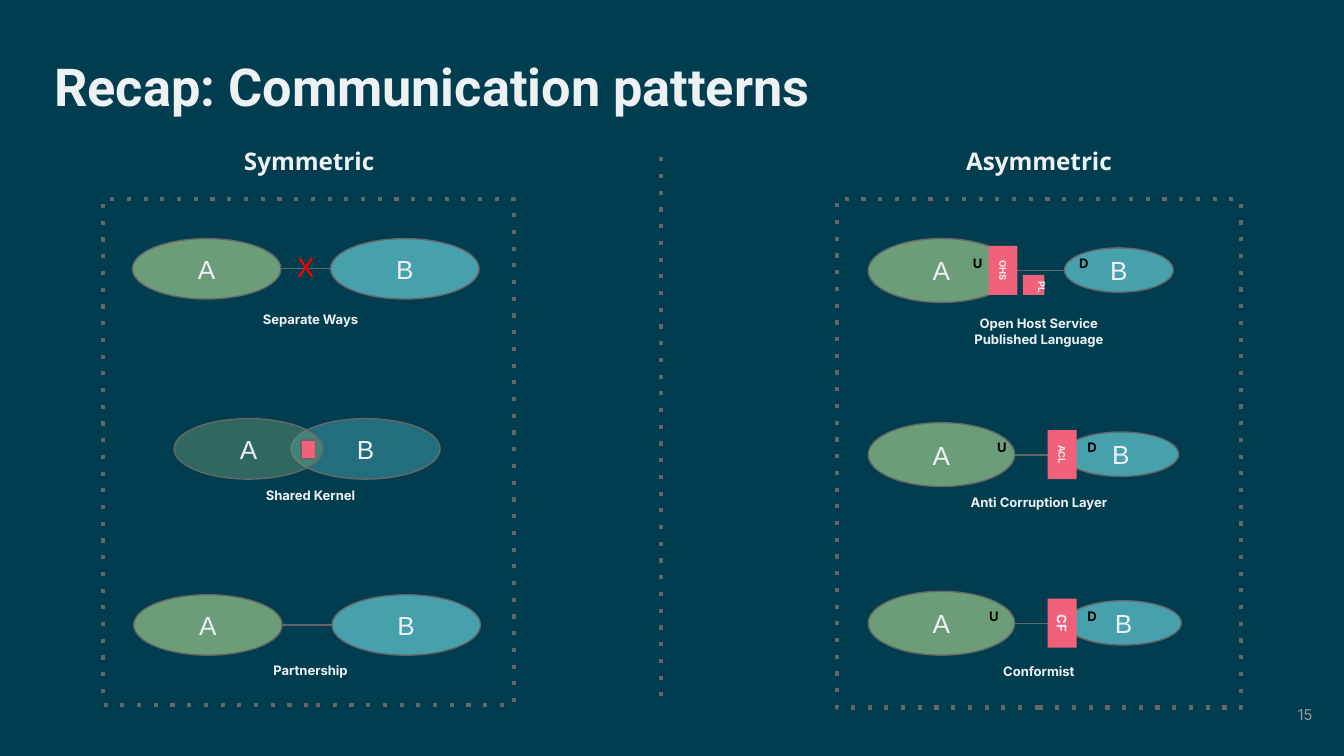
from dataclasses import dataclass

from lxml.etree import SubElement
from pptx import Presentation
from pptx.dml.color import RGBColor
from pptx.enum.dml import MSO_LINE
from pptx.enum.shapes import MSO_CONNECTOR as Connector, MSO_SHAPE as Preset
from pptx.enum.text import MSO_ANCHOR as Anchor, MSO_AUTO_SIZE as AutoSize, PP_ALIGN as Align
from pptx.oxml.ns import qn
from pptx.util import Inches, Pt

COLUMNS, ROWS = 100, 56.25  # grid of square cells
CELL = Inches(0.1)


@dataclass(frozen=True)
class Theme:
    background: str = "003D4F"
    light: str = "EDF1F3"
    dark: str = "000000"
    muted: str = "999999"
    cross: str = "FF0000"
    outline: str = "666666"
    green: str = "6B9E78"
    teal: str = "47A1AD"
    pink: str = "F2617A"
    thin: float = 0.75
    thick: float = 2.25


THEME = Theme()

# Type styles: font format and colour
STYLES = {
    "title": ({"name": "Roboto", "size": Pt(28), "bold": True}, THEME.light),
    "heading": ({"name": "Open Sans", "size": Pt(13), "bold": True}, THEME.light),
    "caption": ({"name": "Inter", "size": Pt(7), "bold": True}, THEME.light),
    "role": ({"name": "Inter", "size": Pt(7), "bold": True}, THEME.dark),
    "tag": ({"name": "Inter", "size": Pt(5), "bold": True}, THEME.light),
    "context": ({"name": "Arial", "size": Pt(14)}, THEME.light),
    "cross": ({"name": "Inter", "size": Pt(14)}, THEME.cross),
    "number": ({"name": "Inter", "size": Pt(8)}, THEME.muted),
}


def cells(*counts):
    return [round(count * CELL) for count in counts]


def rgb(value):
    return RGBColor.from_string(value)


def set_values(target, values):
    for name, value in values.items():
        setattr(target, name, value)


def write(shape, text, style, align=Align.CENTER, anchor=Anchor.MIDDLE,
          inset=1, size=AutoSize.NONE):
    frame = shape.text_frame
    frame.text = text
    margins = {f"margin_{side}": round(inset * CELL) for side in ("left", "top", "right", "bottom")}
    set_values(frame, {"word_wrap": True, "auto_size": size, "vertical_anchor": anchor, **margins})
    values, color = STYLES[style]
    for paragraph in frame.paragraphs:
        paragraph.alignment = align
        for run in paragraph.runs:
            set_values(run.font, values)
            run.font.color.rgb = rgb(color)


def set_line(shape, width=THEME.thin, dotted=False):
    shape.line.color.rgb = rgb(THEME.outline)
    shape.line.width = Pt(width)
    if dotted:
        shape.line.dash_style = MSO_LINE.ROUND_DOT
        for dash in shape._element.iter(qn("a:prstDash")):
            dash.set("val", "dot")


def add_preset(parent, preset, box, fill=None, opacity=100, outlined=True):
    shape = parent.shapes.add_shape(preset, *cells(*box))
    shape.shadow.inherit = False
    if fill:
        shape.fill.solid()
        shape.fill.fore_color.rgb = rgb(fill)
    else:
        shape.fill.background()
    if opacity < 100:
        for color in shape._element.spPr.iter(qn("a:srgbClr")):
            SubElement(color, qn("a:alpha"), val=str(opacity * 1000))
    if outlined:
        set_line(shape)
    else:
        shape.line.fill.background()
    return shape


def add_text(parent, text, style, box, size=AutoSize.SHAPE_TO_FIT_TEXT,
             rotation=0, anchor=Anchor.TOP, align=Align.CENTER):
    shape = parent.shapes.add_textbox(*cells(*box))
    write(shape, text, style, align=align, anchor=anchor, size=size)
    shape.rotation = rotation


def add_line(parent, start, end, **line):
    connector = parent.shapes.add_connector(Connector.STRAIGHT, *cells(*start, *end))
    set_line(connector, **line)
    SubElement(connector._element.spPr, qn("a:effectLst"))


def add_context(parent, name, box, opacity=100):
    fill = THEME.green if name == "A" else THEME.teal
    write(add_preset(parent, Preset.OVAL, box, fill, opacity), name, "context")


def add_tag(parent, text, box, style="tag"):
    shape = add_preset(parent, Preset.RECTANGLE, box, THEME.pink, outlined=False)
    shape.rotation = 90
    if text:
        write(shape, text, style)


def add_frame(slide, heading, heading_box, box):
    frame = add_preset(slide, Preset.RECTANGLE, box)
    set_line(frame, THEME.thick, dotted=True)
    add_text(slide, heading, "heading", heading_box, size=AutoSize.NONE)


def add_symmetric(slide, caption, top, left, caption_top):
    """Two equal contexts joined by a line."""
    group = slide.shapes.add_group_shape()
    width, height, gap = 11.05, 4.5, 3.7
    middle = top + height / 2
    right = left + width + gap
    add_context(group, "A", (left, top, width, height))
    add_context(group, "B", (right, top, width, height))
    add_line(group, (left + width, middle), (right, middle))
    add_text(group, caption, "caption", (10.2, caption_top, 25.8, 3.2))
    return group


def add_shared_kernel(slide, top):
    """Two overlapping see-through contexts around a kernel."""
    group = slide.shapes.add_group_shape()
    add_context(group, "B", (21.65, top, 11.1, 4.5), opacity=49)
    add_context(group, "A", (12.95, top, 11.1, 4.5), opacity=45)
    add_preset(group, Preset.RECTANGLE, (22.4, top + 1.6, 1.1, 1.4), THEME.pink)
    add_text(group, "Shared Kernel", "caption", (10.2, top + 4.5, 25.8, 3.2))


def add_asymmetric(slide, caption, top, downstream, tag, roles, tag_style="tag"):
    """Upstream A and downstream B, with a tag on one of them."""
    group = slide.shapes.add_group_shape()
    left, width = downstream
    label, tag_left = tag
    middle = top + 2.4
    add_context(group, "A", (64.6, top, 10.9, 4.75))
    add_context(group, "B", (left, top + 0.7, width, 3.3))
    add_line(group, (75.5, middle), (left, middle))
    height = 3.2 + 1.2 * caption.count("\n")
    add_text(group, caption, "caption", (64.6, top + 4.75, 25.4, height))
    add_tag(group, label, (tag_left, top + 1.3, 3.65, 2.15), tag_style)
    for role, role_left in zip("UD", roles):
        add_text(group, role, "role", (role_left, top + 0.65, 6.7, 3.2))
    return group


def main():
    presentation = Presentation()
    presentation.slide_width, presentation.slide_height = cells(COLUMNS, ROWS)
    slide = presentation.slides.add_slide(presentation.slide_layouts[5])
    slide.background.fill.solid()
    slide.background.fill.fore_color.rgb = rgb(THEME.background)

    # Title and slide number
    title = slide.shapes.title
    set_values(title, dict(zip(("left", "top", "width", "height"), cells(4.05, 4.05, 91.9, 6.3))))
    write(title, "Recap: Communication patterns", "title", Align.LEFT, Anchor.TOP, inset=0)
    add_text(slide, "15", "number", (92.65, 51.05, 6, 4.3), size=AutoSize.NONE,
             anchor=Anchor.MIDDLE, align=Align.RIGHT)

    # Dotted frames and divider
    add_frame(slide, "Symmetric", (10.1, 9.9, 25.8, 3.2), (7.65, 14.8, 30.6, 37.65))
    add_frame(slide, "Asymmetric", (65.35, 9.9, 23.9, 3.3), (62.25, 14.8, 30.1, 37.85))
    add_line(slide, (49.2, 11.7), (49.2, 52.5), width=THEME.thick, dotted=True)

    # Symmetric patterns
    separate = add_symmetric(slide, "Separate Ways", 17.75, 9.85, 22.6)
    add_text(separate, "X", "cross", (19.35, 17.7, 6.8, 4.4))
    add_shared_kernel(slide, 31.15)
    add_symmetric(slide, "Partnership", 44.25, 9.95, 48.7)

    # Asymmetric patterns
    host = add_asymmetric(slide, "Open Host Service\nPublished Language", 17.75,
                          (79.2, 8.1), ("OHS", 72.8), (69.4, 77.3))
    add_tag(host, "", (76.15, 20.4, 1.5, 1.6))
    add_text(host, "PL", "tag", (74.65, 19.9, 4.5, 2.9), rotation=90)
    add_asymmetric(slide, "Anti Corruption Layer", 31.45,
                   (79.1, 8.6), ("ACL", 77.2), (71.2, 77.9))
    add_asymmetric(slide, "Conformist", 44,
                   (79.3, 8.6), ("CF", 77.2), (70.6, 77.9), "caption")

    presentation.save("out.pptx")


if __name__ == "__main__":
    main()
